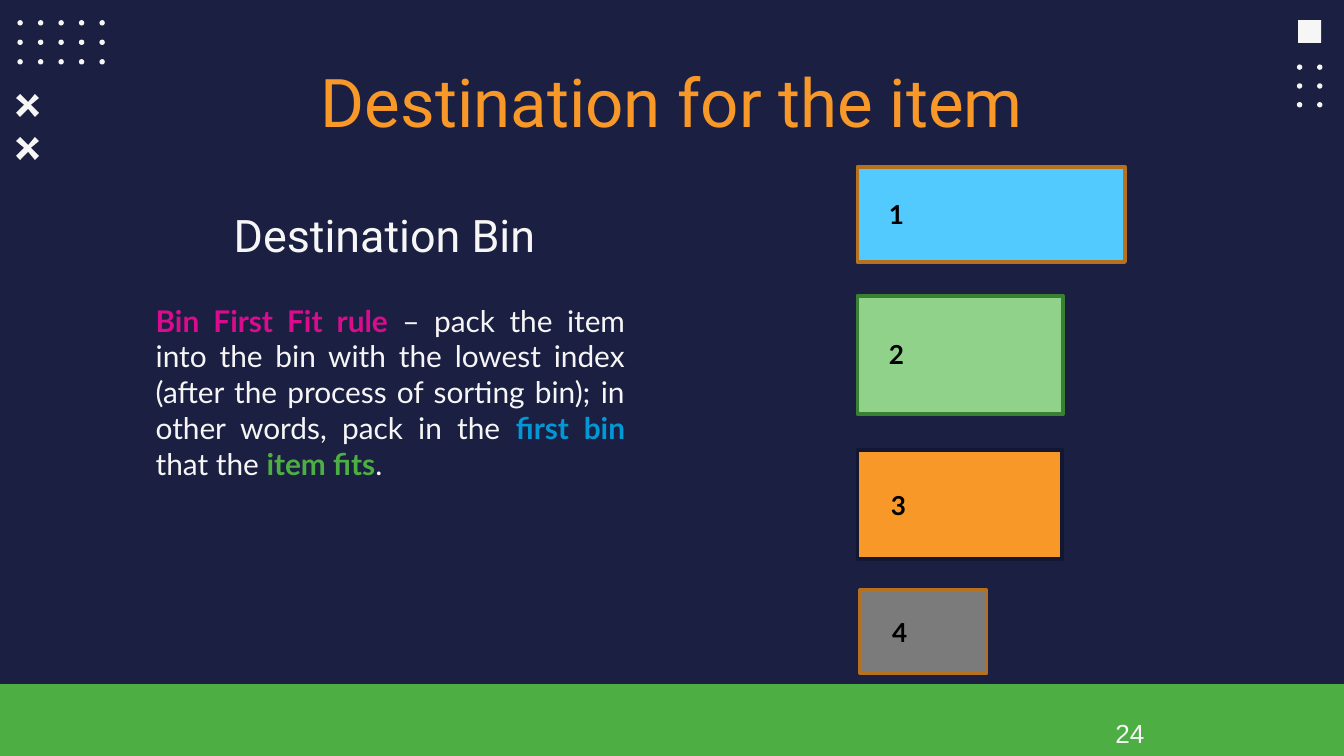
import pptx
import pptx.dml.color
import pptx.enum.shapes
import pptx.enum.text
import pptx.util

Inches = pptx.util.Inches
Pt = pptx.util.Pt
SHAPE = pptx.enum.shapes.MSO_SHAPE
ALIGN = pptx.enum.text.PP_ALIGN

WIDTH = 10
HEIGHT = WIDTH * 9 / 16
FOOTER_TOP = 5.09

COLORS = {
    "navy": "1B1F42", "white": "F6F6F6", "black": "000000",
    "green": "4CAE43", "orange": "F89829", "pink": "D80C8C", "blue": "0397D6",
    "sky": "52CAFD", "mint": "90D28A", "gray": "7B7B7B",
    "brown": "B7701E", "forest": "388132", "ink": "141731",
}

# Fill, outline, rectangle and label (left, top, width, height)
BINS = [
    ("sky", "brown", (6.38, 1.24, 1.99, 0.71), (6.38, 1.43, 0.58, 0.34)),
    ("mint", "forest", (6.38, 2.2, 1.53, 0.88), (6.38, 2.47, 0.58, 0.34)),
    ("orange", "ink", (6.38, 3.35, 1.52, 0.81), (6.4, 3.59, 0.57, 0.34)),
    ("gray", "brown", (6.4, 4.39, 0.94, 0.62), (6.4, 4.54, 0.59, 0.34)),
]

RULE = [
    ("Bin First Fit rule ", "pink", True),
    ("– pack the item into the bin with the lowest index (after the process "
     "of sorting bin); in other words, pack in the ", "white", False),
    ("first bin ", "blue", True),
    ("that the ", "white", False),
    ("item fits", "green", True),
    (".", "white", False),
]

# Outline of a diagonal cross, as offsets from its top-left corner
CROSS = [(0.03, 0), (0.09, 0.06), (0.14, 0), (0.17, 0.03), (0.11, 0.08), (0.17, 0.14),
         (0.14, 0.17), (0.09, 0.11), (0.03, 0.17), (0, 0.14), (0.06, 0.08), (0, 0.03)]


def color(name):
    return pptx.dml.color.RGBColor.from_string(COLORS[name])


class Deck:
    def __init__(self):
        self.prs = pptx.Presentation()
        self.prs.slide_width = Inches(WIDTH)
        self.prs.slide_height = Inches(HEIGHT)
        self.s = None

    def new_slide(self, background):
        self.s = self.prs.slides.add_slide(self.prs.slide_layouts[6])
        fill = self.s.background.fill
        fill.solid()
        fill.fore_color.rgb = color(background)

    def paint(self, sp, fill, line=None):
        sp.shadow.inherit = False
        sp.fill.solid()
        sp.fill.fore_color.rgb = color(fill)
        if line:
            sp.line.color.rgb = color(line)
            sp.line.width = Pt(2)
        else:
            sp.line.fill.background()

    def shape(self, kind, box, fill, line=None):
        sp = self.s.shapes.add_shape(kind, *map(Inches, box))
        self.paint(sp, fill, line)

    def dots(self, left, top, columns, rows, x_gap, y_gap):
        for row in range(rows):
            for col in range(columns):
                box = (left + col * x_gap, top + row * y_gap, 0.04, 0.04)
                self.shape(SHAPE.OVAL, box, "white")

    def cross(self, left, top):
        points = [(Inches(left + x), Inches(top + y)) for x, y in CROSS]
        builder = self.s.shapes.build_freeform(*points[0])
        builder.add_line_segments(points[1:], close=True)
        self.paint(builder.convert_to_shape(), "white")

    def text(self, box, runs, size, font, align=ALIGN.LEFT, inset=0.05):
        """Add a text box; each run is (text, colour, bold)."""
        tf = self.s.shapes.add_textbox(*map(Inches, box)).text_frame
        tf.word_wrap = True
        tf.margin_left = tf.margin_right = Inches(0.1)
        tf.margin_top = tf.margin_bottom = Inches(inset)
        p = tf.paragraphs[0]
        p.alignment = align
        p.font.size = Pt(size)
        p.font.name = font
        for words, shade, bold in runs:
            r = p.add_run()
            r.text = words
            r.font.color.rgb = color(shade)
            r.font.bold = bold


def main():
    deck = Deck()
    deck.new_slide("navy")

    deck.shape(SHAPE.RECTANGLE, (9.66, 0.15, 0.17, 0.17), "white")
    for top in (0.7, 1.02):
        deck.cross(0.12, top)
    deck.dots(0.13, 0.15, columns=5, rows=3, x_gap=0.61 / 4, y_gap=0.29 / 2)
    deck.dots(9.65, 0.48, columns=2, rows=3, x_gap=0.15, y_gap=0.14)

    deck.shape(SHAPE.RECTANGLE, (0, FOOTER_TOP, WIDTH, HEIGHT - FOOTER_TOP), "green")
    deck.text((8.2, 5.29, 1.72, 0.34), [("24", "white", False)], 14, "Arial")

    for number, (fill, line, box, label) in enumerate(BINS, start=1):
        deck.shape(SHAPE.RECTANGLE, box, fill, line)
        deck.text(label, [(str(number), "black", True)], 14, "Lato", ALIGN.CENTER)

    deck.text((1.06, 2.2, 3.69, 1.18), RULE, 16, "Lato", ALIGN.JUSTIFY)
    deck.text((1.45, 1.5, 2.82, 0.5), [("Destination Bin", "white", False)],
              24, "Roboto", ALIGN.CENTER)
    deck.text((0.78, 0.35, 8.44, 0.63), [("Destination for the item", "orange", False)],
              36, "Roboto", ALIGN.CENTER, inset=0.1)

    deck.prs.save("out.pptx")


if __name__ == "__main__":
    main()
